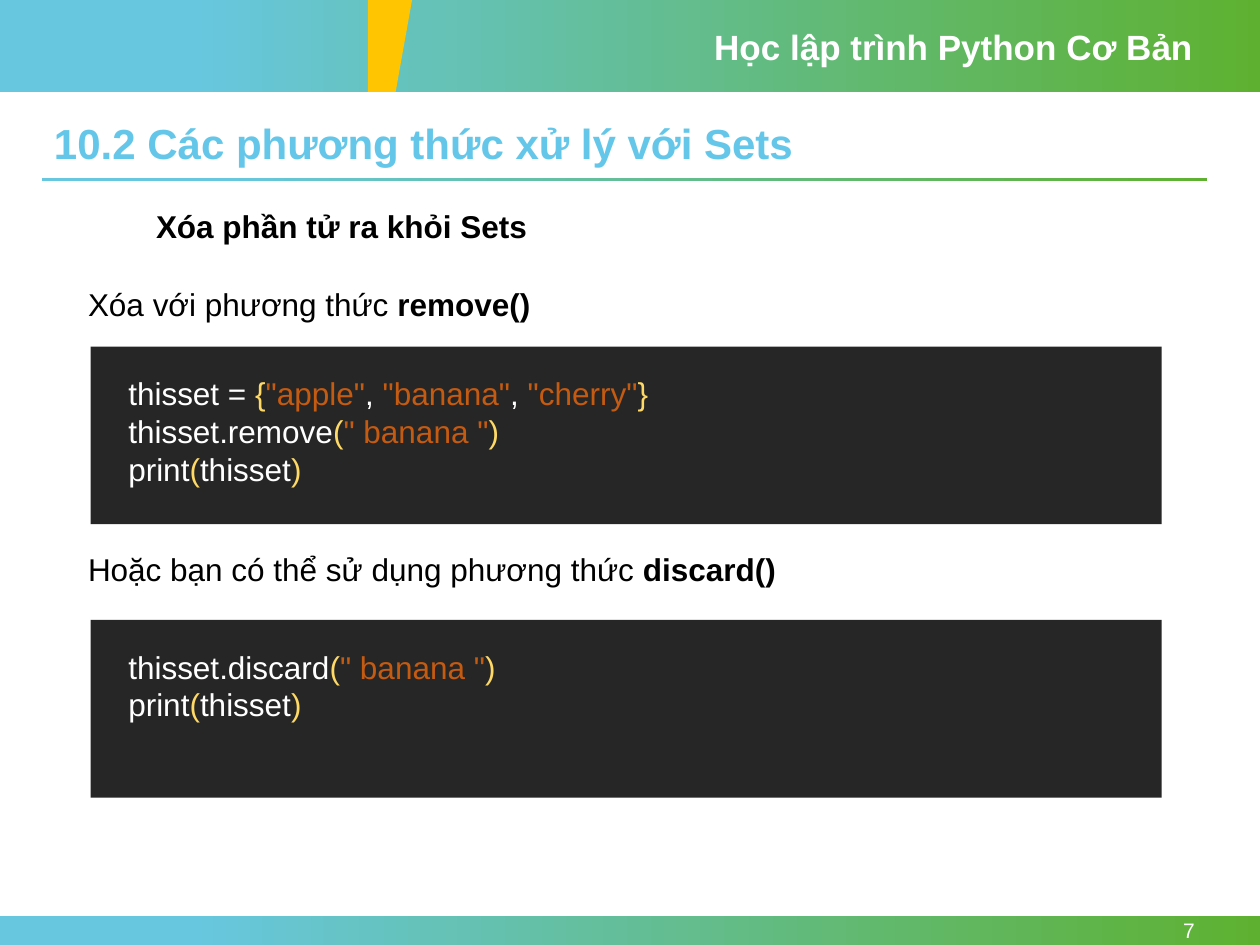
from pptx import Presentation
from pptx import util as u
from pptx.dml.color import RGBColor
from pptx.enum import shapes, text

SKY = RGBColor(0x67, 0xC7, 0xDF)
GREEN = RGBColor(0x5E, 0xB1, 0x30)
AMBER = RGBColor(0xFF, 0xC5, 0x00)
HEADING_BLUE = RGBColor(0x64, 0xC7, 0xE9)
WHITE = RGBColor(0xFF, 0xFF, 0xFF)
BLACK = RGBColor(0x00, 0x00, 0x00)
CODE_BACK = RGBColor(0x26, 0x26, 0x26)
BRACKET = RGBColor(0xFF, 0xD9, 0x66)
STRING = RGBColor(0xC5, 0x5A, 0x11)

PRINT_LINE = [("print", WHITE), ("(", BRACKET), ("thisset", WHITE), (")", BRACKET)]
REMOVE_CODE = [
    [("thisset = ", WHITE), ("{", BRACKET), ('"apple"', STRING), (", ", WHITE),
     ('"banana"', STRING), (", ", WHITE), ('"cherry"', STRING), ("}", BRACKET)],
    [("thisset.remove", WHITE), ("(", BRACKET), ('" banana "', STRING), (")", BRACKET)],
    PRINT_LINE,
]
DISCARD_CODE = [
    [("thisset.discard", WHITE), ("(", BRACKET), ('" banana "', STRING), (")", BRACKET)],
    PRINT_LINE,
]


def add_block(slide, left, top, width, height):
    block = slide.shapes.add_shape(
        shapes.MSO_SHAPE.RECTANGLE,
        u.Inches(left), u.Inches(top), u.Inches(width), u.Inches(height))
    block.shadow.inherit = False
    block.line.fill.background()
    return block


def add_gradient_bar(slide, left, top, width, height):
    fill = add_block(slide, left, top, width, height).fill
    fill.gradient()
    fill.gradient_angle = 0
    for stop, (position, color) in zip(fill.gradient_stops, [(0.15, SKY), (1, GREEN)]):
        stop.position = position
        stop.color.rgb = color


def add_accent(slide):
    builder = slide.shapes.build_freeform(u.Inches(2.92), 0)
    corners = [(3.27, 0), (3.14, 0.73), (2.92, 0.73)]
    builder.add_line_segments([(u.Inches(x), u.Inches(y)) for x, y in corners])
    accent = builder.convert_to_shape()
    accent.shadow.inherit = False
    accent.fill.solid()
    accent.fill.fore_color.rgb = AMBER
    accent.line.fill.background()


def add_lines(slide, left, top, width, height, lines, size=18, bold=False, **layout):
    frame = slide.shapes.add_textbox(
        u.Inches(left), u.Inches(top), u.Inches(width), u.Inches(height)).text_frame
    frame.word_wrap = True
    for index, line in enumerate(lines):
        paragraph = frame.paragraphs[0] if index == 0 else frame.add_paragraph()
        for name, value in layout.items():
            setattr(paragraph, name, value)
        for words, color, *strong in line:
            run = paragraph.add_run()
            run.text = words
            look = {"name": "Arial", "size": u.Pt(size), "bold": bold or bool(strong)}
            for name, value in look.items():
                setattr(run.font, name, value)
            run.font.color.rgb = color
    return frame


def add_method(slide, intro_top, intro, method, panel_top, code):
    add_lines(slide, 0.6, intro_top, 8.32, 0.4,
              [[(intro, BLACK), (method, BLACK, True)]])
    panel = add_block(slide, 0.72, panel_top, 8.5, 1.41)
    panel.fill.solid()
    panel.fill.fore_color.rgb = CODE_BACK
    add_lines(slide, 0.92, panel_top + 0.17, 8.1, 0.1 + 0.3 * len(code), code)


def main():
    deck = Presentation()
    deck.slide_width, deck.slide_height = u.Inches(10), u.Inches(7.5)
    slide = deck.slides.add_slide(deck.slide_layouts[6])

    for bar in [(0, 0, 10, 0.73), (0, 7.27, 10, 0.23), (0.33, 1.41, 9.25, 0.03)]:
        add_gradient_bar(slide, *bar)
    add_accent(slide)
    add_lines(slide, 5.57, 0.15, 4, 0.44,
              [[("Học lập trình Python Cơ Bản", WHITE)]], size=20, bold=True)
    page_number = add_lines(slide, 8.66, 7.27, 0.92, 0.23, [[("7", WHITE)]],
                            size=12, alignment=text.PP_ALIGN.RIGHT)
    page_number.vertical_anchor = text.MSO_ANCHOR.MIDDLE

    add_lines(slide, 0.33, 0.93, 9.25, 0.46,
              [[("10.2 Các phương thức xử lý với Sets", HEADING_BLUE)]],
              size=24, bold=True, line_spacing=0.9)
    add_lines(slide, 1.14, 1.59, 7.03, 0.4,
              [[("Xóa phần tử ra khỏi Sets", BLACK)]], bold=True)
    add_method(slide, 2.21, "Xóa với phương thức ", "remove()", 2.75, REMOVE_CODE)
    add_method(slide, 4.32, "Hoặc bạn có thể sử dụng phương thức ", "discard()",
               4.92, DISCARD_CODE)
    deck.save("out.pptx")


if __name__ == "__main__":
    main()
